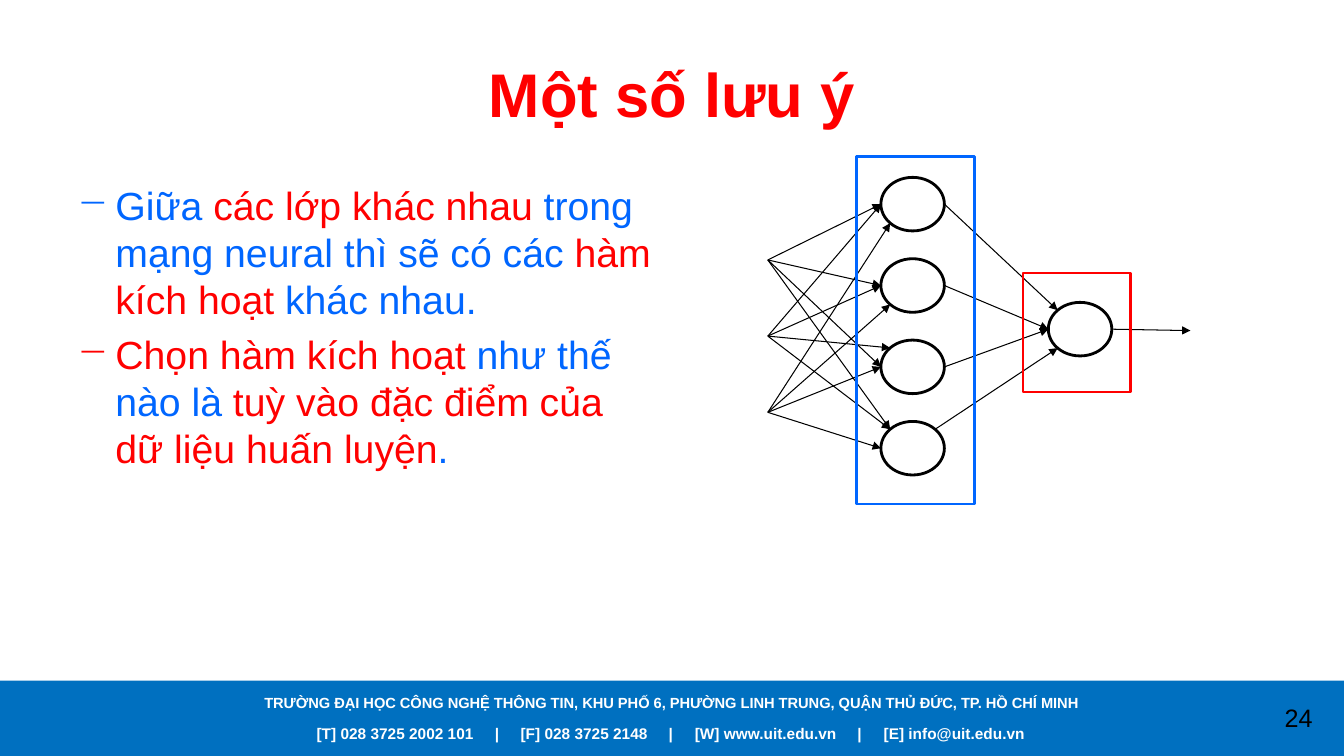
from dataclasses import dataclass
from typing import NamedTuple

from lxml.etree import SubElement
from pptx import Presentation
from pptx.dml.color import RGBColor
from pptx.enum.shapes import MSO_CONNECTOR, MSO_SHAPE
from pptx.enum.text import MSO_ANCHOR, PP_ALIGN
from pptx.oxml.ns import qn
from pptx.util import Cm, Pt


@dataclass(frozen=True)
class Theme:
    font: str = "Arial"
    bar: str = "0070C0"
    blue: str = "0066FF"
    red: str = "FF0000"
    black: str = "000000"
    white: str = "FFFFFF"
    title: float = 44
    body: float = 28
    page: float = 18
    school: float = 10.5
    contact: float = 11
    thin: float = 0.75
    thick: float = 2


class Box(NamedTuple):
    x: float
    y: float
    w: float
    h: float

    def cm(self) -> list[Cm]:
        return [Cm(v) for v in self]

    def site(self, name: str) -> tuple[float, float]:
        """Point on the edge of an ellipse in this box."""
        fx, fy = SITES[name]
        return self.x + fx * self.w, self.y + fy * self.h


class Label(NamedTuple):
    box: Box
    text: str
    size: float
    color: str
    bold: bool = True
    anchor: MSO_ANCHOR = MSO_ANCHOR.TOP


class Frame(NamedTuple):
    box: Box
    color: str


T = Theme()
SITES = {"left": (0, 0.5), "right": (1, 0.5), "upper": (0.146, 0.146),
         "lower": (0.146, 0.854), "top right": (0.854, 0.146)}

# Footer and title
BAR = Box(0, 17.15, 33.87, 1.9)
LABELS = [
    Label(Box(0, 17.35, 33.87, 0.71),
          "TRƯỜNG ĐẠI HỌC CÔNG NGHỆ THÔNG TIN, KHU PHỐ 6, PHƯỜNG LINH TRUNG, "
          "QUẬN THỦ ĐỨC, TP. HỒ CHÍ MINH", T.school, T.white),
    Label(Box(31.6, 17.58, 2.26, 1.02), "24", T.page, T.black, False),
    Label(Box(1.7, 0.76, 30.48, 3.18), "Một số lưu ý", T.title, T.red,
          anchor=MSO_ANCHOR.MIDDLE),
]
CONTACT = ["[T] 028 3725 2002 101", "[F] 028 3725 2148",
           "[W] www.uit.edu.vn", "[E] info@uit.edu.vn"]
TABS = [4.49, 5.14, 8.87, 9.53, 13.63, 14.29]

# Body points as coloured runs
POINTS = [
    [("Giữa ", T.blue), ("các lớp khác nhau ", T.red),
     ("trong mạng neural thì sẽ có các ", T.blue),
     ("hàm kích hoạt ", T.red), ("khác nhau.", T.blue)],
    [("Chọn hàm kích hoạt ", T.red), ("như thế nào là ", T.blue),
     ("tuỳ vào đặc điểm của dữ liệu huấn luyện", T.red), (".", T.blue)],
]

# Network: where each arrow enters its target
INPUTS = [(19.35, 6.55 + 1.92 * i) for i in range(3)]
HIDDEN = [Box(22.2, 4.47 + 2.05 * i, 1.6, 1.35) for i in range(4)]
OUTPUT = Box(26.42, 7.62, 1.6, 1.35)
ENTRY = [("left", "left", "left", "upper"),
         ("left", "left", "upper", "upper"),
         ("lower", "lower", "left", "left")]
EXIT = [("right", "upper"), ("right", "left"),
        ("right", "left"), ("top right", "lower")]
FRAMES = [Frame(Box(21.59, 3.94, 2.97, 8.76), T.blue),
          Frame(Box(25.78, 6.88, 2.72, 3), T.red)]


def add_run(para, text: str, size: float, color: str, bold: bool = False) -> None:
    run = para.add_run()
    run.text = text
    style = {"name": T.font, "size": Pt(size), "bold": bold}
    for key, val in style.items():
        setattr(run.font, key, val)
    run.font.color.rgb = RGBColor.from_string(color)


def add_text(slide, box: Box, anchor: MSO_ANCHOR = MSO_ANCHOR.TOP):
    frame = slide.shapes.add_textbox(*box.cm()).text_frame
    style = {"word_wrap": True, "vertical_anchor": anchor}
    for key, val in style.items():
        setattr(frame, key, val)
    return frame


def add_label(slide, label: Label) -> None:
    para = add_text(slide, label.box, label.anchor).paragraphs[0]
    para.alignment = PP_ALIGN.CENTER
    add_run(para, label.text, label.size, label.color, label.bold)


def add_contact(slide) -> None:
    frame = add_text(slide, Box(3.96, 18.11, 25.96, 0.74))
    frame.margin_left = Cm(4.02)
    para = frame.paragraphs[0]
    stops = SubElement(para._p.get_or_add_pPr(), qn("a:tabLst"))
    for pos in TABS:
        SubElement(stops, qn("a:tab"), pos=str(Cm(pos)), algn="l")
    add_run(para, "\t|\t".join(CONTACT), T.contact, T.white, True)


def add_points(slide) -> None:
    frame = add_text(slide, Box(1.7, 4.45, 14.96, 12.57))
    for i, runs in enumerate(POINTS):
        para = frame.add_paragraph() if i else frame.paragraphs[0]
        if i:
            para.space_before = Pt(0.2 * T.body)
        props = para._p.get_or_add_pPr()
        props.set("marL", str(Cm(0.96)))
        props.set("indent", str(Cm(-0.96)))
        SubElement(props, qn("a:buChar"), char="─")
        for text, color in runs:
            add_run(para, text, T.body, color)


def add_shape(slide, kind: MSO_SHAPE, box: Box, line: str = "", fill: str = "") -> None:
    shape = slide.shapes.add_shape(kind, *box.cm())
    shape.shadow.inherit = False
    for part, color in ((shape.fill, fill), (shape.line.fill, line)):
        if color:
            part.solid()
            part.fore_color.rgb = RGBColor.from_string(color)
        else:
            part.background()
    if line:
        shape.line.width = Pt(T.thick)


def add_arrow(slide, start: tuple[float, float], end: tuple[float, float]) -> None:
    ends = [Cm(v) for v in (*start, *end)]
    arrow = slide.shapes.add_connector(MSO_CONNECTOR.STRAIGHT, *ends)
    arrow.line.width = Pt(T.thin)
    arrow.line.color.rgb = RGBColor.from_string(T.black)
    SubElement(arrow.line._get_or_add_ln(), qn("a:tailEnd"), type="triangle")
    SubElement(arrow._element.spPr, qn("a:effectLst"))


def add_network(slide) -> None:
    for node in [*HIDDEN, OUTPUT]:
        add_shape(slide, MSO_SHAPE.OVAL, node, T.black)
    for point, sites in zip(INPUTS, ENTRY):
        for node, site in zip(HIDDEN, sites):
            add_arrow(slide, point, node.site(site))
    for node, (out, into) in zip(HIDDEN, EXIT):
        add_arrow(slide, node.site(out), OUTPUT.site(into))
    add_arrow(slide, OUTPUT.site("right"), (30, 8.33))
    for frame in FRAMES:
        add_shape(slide, MSO_SHAPE.RECTANGLE, frame.box, frame.color)


def main() -> None:
    deck = Presentation()
    deck.slide_width, deck.slide_height = Cm(33.87), Cm(19.05)
    slide = deck.slides.add_slide(deck.slide_layouts[6])
    add_shape(slide, MSO_SHAPE.RECTANGLE, BAR, fill=T.bar)
    for label in LABELS:
        add_label(slide, label)
    add_contact(slide)
    add_points(slide)
    add_network(slide)
    deck.save("out.pptx")


if __name__ == "__main__":
    main()
